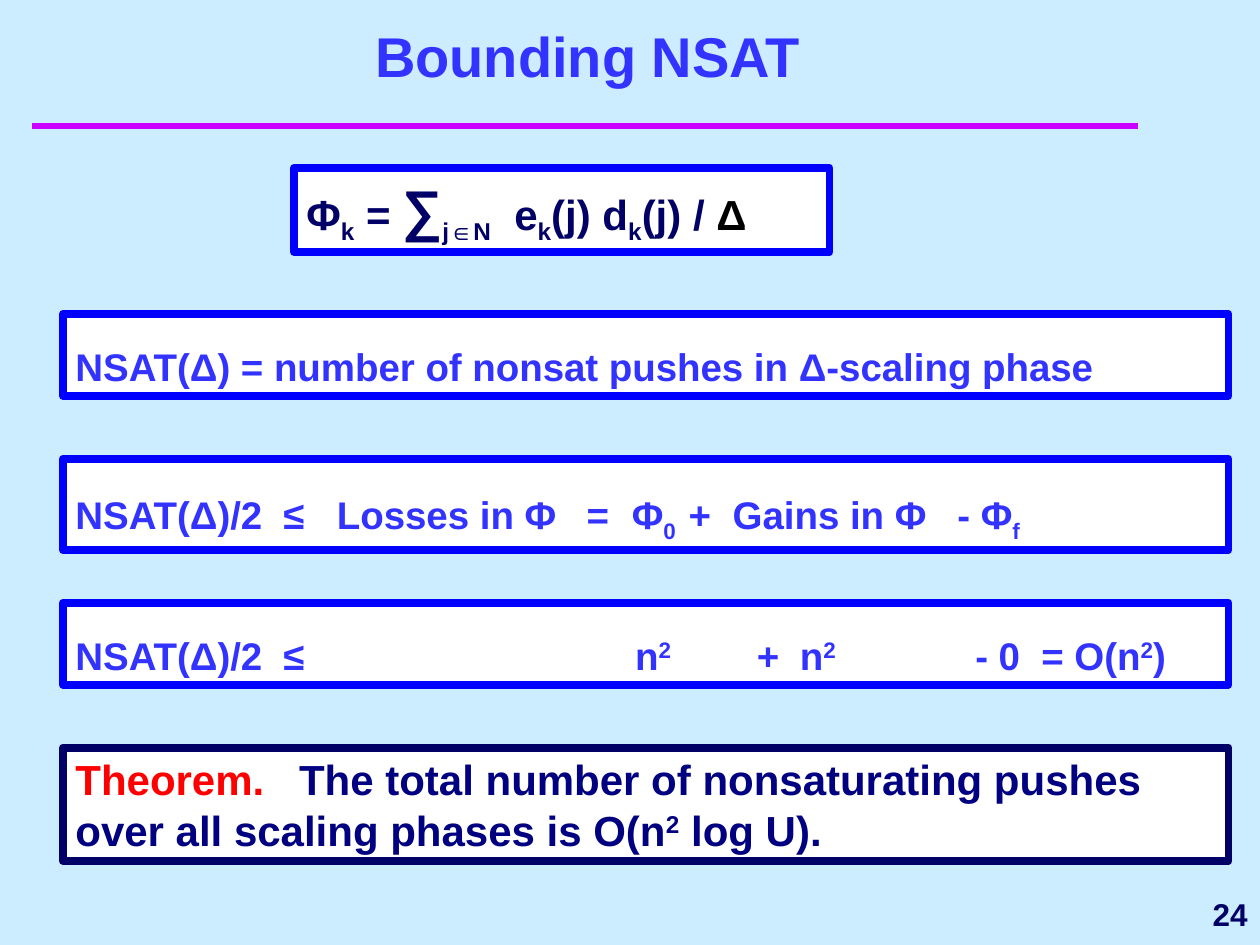
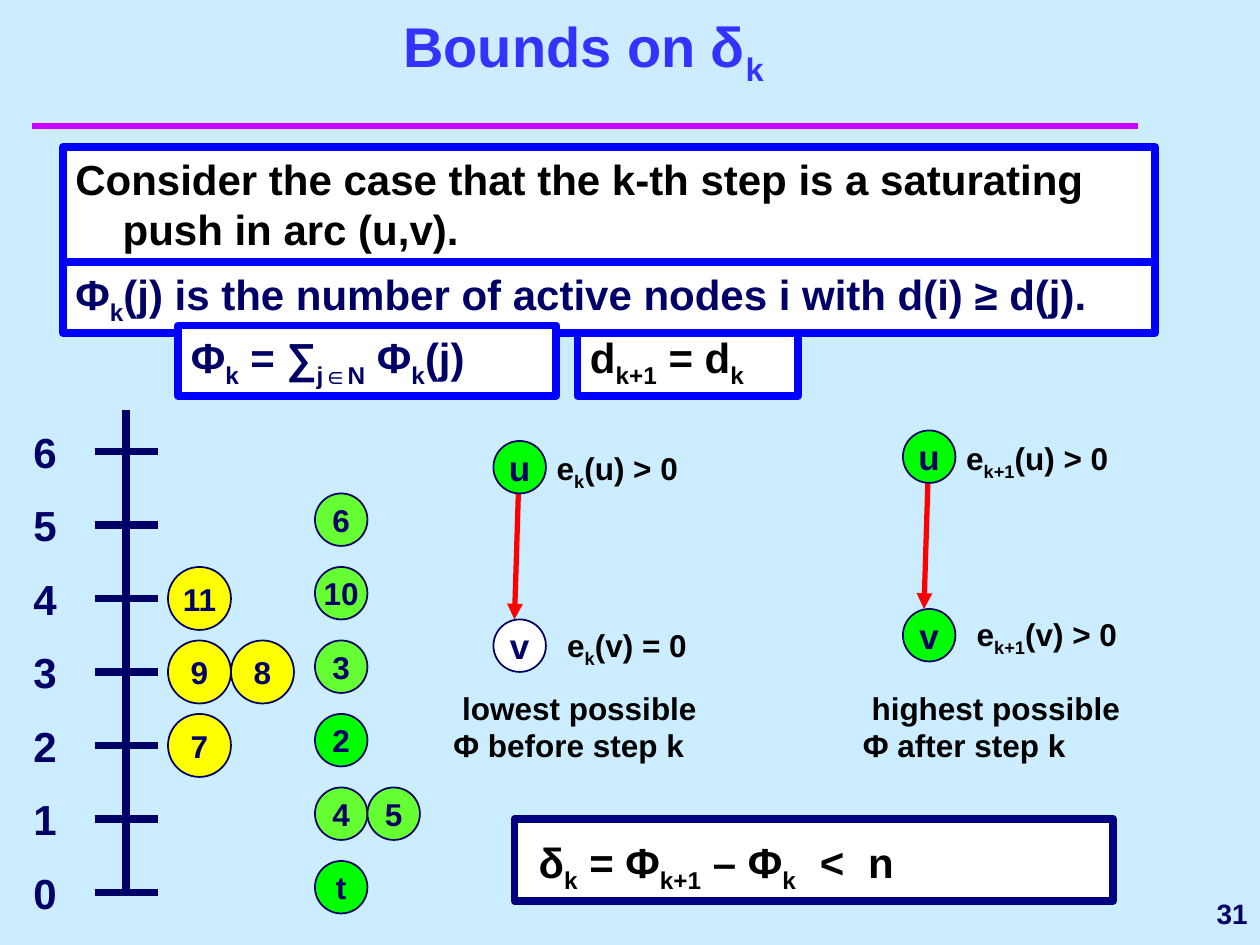
from dataclasses import dataclass
from typing import Optional

from lxml.etree import SubElement
from pptx import Presentation
from pptx.dml.color import RGBColor
from pptx.enum.shapes import MSO_CONNECTOR, MSO_SHAPE
from pptx.enum.text import MSO_ANCHOR, PP_ALIGN
from pptx.oxml.ns import qn
from pptx.util import Emu, Pt

PX = 7620  # EMU per px: 120 px to the inch
FONT = "Arial"
COLORS = {
    "sky": "CCECFF", "rule": "CC00FF", "title": "3333FF", "frame": "0000FF",
    "navy": "000066", "theorem": "000080", "red": "FF0000", "black": "000000",
    "white": "FFFFFF", "lime": "00FF00", "leaf": "66FF33", "yellow": "FFFF00",
}
SUBSCRIPT, SUPERSCRIPT = -25000, 30000


@dataclass(frozen=True)
class Span:
    text: str
    baseline: int = 0
    color: Optional[str] = None
    size: Optional[int] = None


@dataclass(frozen=True)
class Style:
    size: int = 24
    color: str = "black"
    align: PP_ALIGN = PP_ALIGN.LEFT
    anchor: MSO_ANCHOR = MSO_ANCHOR.TOP
    spacing: Optional[float] = None
    hanging: int = 0
    tabs: tuple[int, ...] = ()
    wrap: bool = True


@dataclass(frozen=True)
class Panel:
    left: int
    top: int
    width: int
    height: int
    spans: tuple[Span, ...]
    style: Style = Style()
    border: str = "frame"


@dataclass(frozen=True)
class Disc:
    text: str
    level: int
    left: int
    size: int
    fill: str


@dataclass(frozen=True)
class Push:
    """A push in arc (u,v), with the excesses of both nodes and a caption."""
    left: int
    top: int
    step: str
    v_fill: str
    v_excess: str
    caption: str
    caption_width: int


def px(value: int) -> Emu:
    return Emu(value * PX)


def rgb(name: str) -> RGBColor:
    return RGBColor.from_string(COLORS[name])


def plain(text: str, color: Optional[str] = None, size: Optional[int] = None) -> Span:
    return Span(text, color=color, size=size)


def sub(text: str) -> Span:
    return Span(text, SUBSCRIPT)


def sup(text: str) -> Span:
    return Span(text, SUPERSCRIPT)


def write(shape, spans: tuple[Span, ...], style: Style) -> None:
    frame = shape.text_frame
    frame.word_wrap = style.wrap
    frame.vertical_anchor = style.anchor
    para = frame.paragraphs[0]
    para.alignment = style.align
    if style.spacing:
        para.line_spacing = style.spacing
    properties = para._p.get_or_add_pPr()
    if style.hanging:
        properties.set("marL", str(px(style.hanging)))
        properties.set("indent", str(-px(style.hanging)))
    if style.tabs:
        stops = SubElement(properties, qn("a:tabLst"))
        for position in style.tabs:
            SubElement(stops, qn("a:tab"), pos=str(px(position)), algn="l")
    for span in spans:
        run = para.add_run()
        run.text = span.text
        run.font.name = FONT
        run.font.bold = True
        run.font.size = Pt(span.size or style.size)
        run.font.color.rgb = rgb(span.color or style.color)
        if span.baseline:
            run.font._element.set("baseline", str(span.baseline))


def add_text(shapes, left: int, top: int, width: int, height: int,
             spans: tuple[Span, ...], style: Style) -> None:
    box = shapes.add_textbox(px(left), px(top), px(width), px(height))
    write(box, spans, style)


def add_filled(shapes, kind: MSO_SHAPE, left: int, top: int, width: int, height: int,
               fill: str, border: str, weight: float):
    shape = shapes.add_shape(kind, px(left), px(top), px(width), px(height))
    shape.shadow.inherit = False
    shape.fill.solid()
    shape.fill.fore_color.rgb = rgb(fill)
    shape.line.color.rgb = rgb(border)
    shape.line.width = Pt(weight)
    return shape


def add_panel(shapes, panel: Panel) -> None:
    shape = add_filled(shapes, MSO_SHAPE.RECTANGLE, panel.left, panel.top, panel.width,
                       panel.height, "white", panel.border, 4.5)
    write(shape, panel.spans, panel.style)


def add_circle(shapes, text: str, left: int, top: int, diameter: int,
               fill: str, text_size: int) -> None:
    circle = add_filled(shapes, MSO_SHAPE.OVAL, left, top, diameter, diameter,
                        fill, "navy", 1)
    write(circle, (plain(text),),
          Style(text_size, "navy", PP_ALIGN.CENTER, MSO_ANCHOR.MIDDLE, wrap=False))


def add_line(shapes, start: tuple[int, int], end: tuple[int, int],
             color: str, weight: float, arrow: bool = False) -> None:
    line = shapes.add_connector(MSO_CONNECTOR.STRAIGHT, px(start[0]), px(start[1]),
                                px(end[0]), px(end[1]))
    line.line.color.rgb = rgb(color)
    line.line.width = Pt(weight)
    if arrow:
        SubElement(line.line._get_or_add_ln(), qn("a:tailEnd"), type="triangle")
    SubElement(line._element.spPr, qn("a:effectLst"))


def add_page(deck, title: tuple[Span, ...], number: str, number_size: int):
    page = deck.slides.add_slide(deck.slide_layouts[6])
    page.background.fill.solid()
    page.background.fill.fore_color.rgb = rgb("sky")
    add_line(page.shapes, (30, 120), (1084, 120), "rule", 4)
    add_text(page.shapes, 50, 20, 1020, 70, title,
             Style(32, "title", PP_ALIGN.CENTER, MSO_ANCHOR.BOTTOM))
    add_text(page.shapes, 1120, 840, 80, 60, (plain(number),),
             Style(number_size, "navy", PP_ALIGN.RIGHT, MSO_ANCHOR.MIDDLE))
    return page


def claim(*tabs: int) -> Style:
    return Style(22, "title", spacing=1.5, tabs=tabs)


def build_bounding_page(deck) -> None:
    page = add_page(deck, (plain("Bounding NSAT"),), "24", 18)
    left, width = 60, 1110
    panels = (
        Panel(280, 160, 510, 80, (
            plain("Φ"), sub("k"), plain(" = "), plain("∑", size=32), sub("j∈N"),
            plain("\te"), sub("k"), plain("(j) d"), sub("k"), plain("(j) / "),
            plain("Δ", "black")), Style(color="navy", tabs=(198,))),
        Panel(left, 299, width, 78, (
            plain("NSAT(Δ) = number of nonsat pushes in Δ-scaling phase"),), claim()),
        Panel(left, 437, width, 87, (
            plain("NSAT(Δ)/2\t≤\tLosses in Φ\t=\tΦ"), sub("0"),
            plain("\t+\tGains in Φ\t- Φ"), sub("f")),
            claim(198, 249, 487, 530, 584, 626, 840)),
        Panel(left, 574, width, 78, (
            plain("NSAT(Δ)/2\t≤\tn"), sup("2"), plain("\t+\tn"), sup("2"),
            plain("\t- 0\t= O(n"), sup("2"), plain(")")),
            claim(198, 533, 649, 690, 857, 920)),
        Panel(left, 712, width, 108, (
            plain("Theorem.", "red"),
            plain("\tThe total number of nonsaturating pushes over all scaling phases is O(n"),
            sup("2"), plain(" log U).")), Style(color="theorem", tabs=(213,)), "navy"),
    )
    for panel in panels:
        add_panel(page.shapes, panel)


def tick_y(level: int) -> int:
    return 850 - 70 * level


def add_distance_axis(shapes) -> None:
    add_line(shapes, (120, 390), (120, tick_y(0)), "navy", 4.5)
    for level in range(7):
        y = tick_y(level)
        add_line(shapes, (90, y), (150, y), "navy", 4.5)
        add_text(shapes, 20, y - 30, 50, 60, (plain(str(level)),), Style(color="navy"))


def add_push(shapes, push: Push) -> None:
    group = shapes.add_group_shape().shapes
    left, u_top, v_top = push.left, push.top, push.top + 170
    add_line(group, (left + 24, u_top + 40), (left + 20, v_top), "red", 3, arrow=True)
    nodes = (
        ("u", u_top, "lime", "(u) > 0", 40, 2),
        ("v", v_top, push.v_fill, push.v_excess, 50, 0),
    )
    for name, top, fill, excess, shift, drop in nodes:
        add_circle(group, name, left, top, 50, fill, 20)
        add_text(group, left + shift, top + drop, 200, 53,
                 (plain(" e"), sub(push.step), plain(excess)), Style(18))
    add_text(shapes, left - 50, 650, push.caption_width, 84,
             (plain(push.caption),), Style(18))


def build_bounds_page(deck) -> None:
    page = add_page(deck, (plain("Bounds on δ"), sub("k ")), "31", 16)
    shapes = page.shapes
    panels = (
        Panel(60, 140, 1040, 110, (
            plain("Consider the case that the k-th step is a saturating push in arc (u,v)."),),
            Style(hanging=45)),
        Panel(550, 310, 210, 67, (plain("d"), sub("k+1"), plain(" = d"), sub("k"))),
        Panel(60, 250, 1040, 67, (
            plain("Φ"), sub("k"),
            plain("(j) is the number of active nodes i with d(i) ≥ d(j).")),
            Style(color="navy")),
        Panel(170, 310, 360, 67, (
            plain("Φ"), sub("k"), plain(" = ∑"), sub("j∈N"), plain(" Φ"), sub("k"),
            plain("(j)")), Style(color="navy")),
        Panel(490, 780, 570, 78, (
            plain(" δ"), sub("k"), plain(" = Φ"), sub("k+1"), plain(" – Φ"), sub("k"),
            plain("\t<\tn")), Style(spacing=1.2, tabs=(279, 325)), "theorem"),
    )
    for panel in panels:
        add_panel(shapes, panel)

    add_distance_axis(shapes)
    discs = (
        Disc("11", 4, 160, 60, "yellow"), Disc("9", 3, 160, 60, "yellow"),
        Disc("8", 3, 220, 60, "yellow"), Disc("7", 2, 160, 60, "yellow"),
        Disc("6", 5, 300, 50, "leaf"), Disc("10", 4, 300, 50, "leaf"),
        Disc("3", 3, 300, 50, "leaf"), Disc("2", 2, 300, 50, "lime"),
        Disc("4", 1, 300, 50, "leaf"), Disc("5", 1, 350, 50, "leaf"),
        Disc("t", 0, 300, 50, "lime"),
    )
    for disc in discs:
        add_circle(shapes, disc.text, disc.left, tick_y(disc.level) - 30,
                   disc.size, disc.fill, 18)

    pushes = (
        Push(470, 420, "k", "white", "(v) = 0", " lowest possible Φ before step k", 280),
        Push(860, 410, "k+1", "lime", "(v) > 0", " highest possible Φ after step k", 290),
    )
    for push in pushes:
        add_push(shapes, push)


def main() -> None:
    deck = Presentation()
    deck.slide_width, deck.slide_height = px(1200), px(900)
    build_bounding_page(deck)
    build_bounds_page(deck)
    deck.save("out.pptx")


if __name__ == "__main__":
    main()
